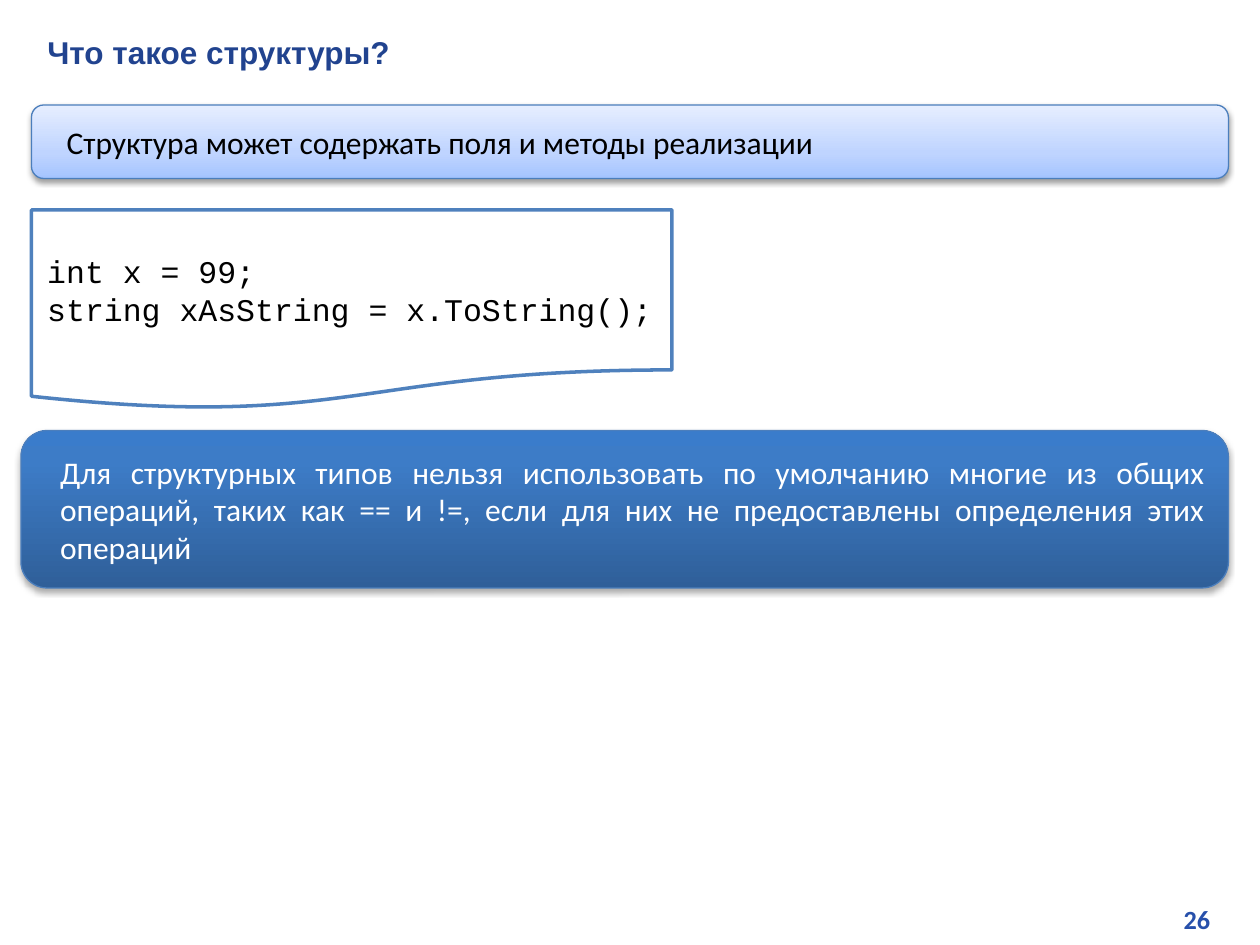
from copy import deepcopy

from lxml import etree
from pptx import Presentation
from pptx.dml.color import RGBColor
from pptx.enum.shapes import MSO_SHAPE
from pptx.enum.text import MSO_ANCHOR, MSO_AUTO_SIZE, PP_ALIGN
from pptx.oxml.ns import qn
from pptx.util import Emu, Pt

ROUNDED = MSO_SHAPE.ROUNDED_RECTANGLE
DOCUMENT = MSO_SHAPE.FLOWCHART_DOCUMENT
TOP, MIDDLE = MSO_ANCHOR.TOP, MSO_ANCHOR.MIDDLE
LEFT, RIGHT, JUSTIFY = PP_ALIGN.LEFT, PP_ALIGN.RIGHT, PP_ALIGN.JUSTIFY
NO_AUTOFIT = MSO_AUTO_SIZE.NONE
TITLE_ONLY = 5


def px(length):
    """Turn pixels (96 to the inch) into EMU."""
    return Emu(length * 9525)


def colour(code):
    """Turn a hex string into a colour."""
    return RGBColor.from_string(code)


def write(shape, lines, font, size, code, bold=False, align=LEFT, anchor=TOP, indent=0):
    """Fill a shape with evenly formatted paragraphs."""
    frame = shape.text_frame
    frame.word_wrap = True
    frame.auto_size = NO_AUTOFIT
    frame.vertical_anchor = anchor
    frame.margin_left = frame.margin_right = px(12)
    frame.margin_top = frame.margin_bottom = px(6)
    frame.text = "\n".join(lines)
    for para in frame.paragraphs:
        para.alignment = align
        if indent:
            properties = para._p.get_or_add_pPr()
            properties.set("marL", str(px(indent)))
            properties.set("indent", "0")
        para.font.name = font
        para.font.size = Pt(size)
        para.font.bold = bold
        para.font.color.rgb = colour(code)


def add_title(page, text):
    """Place the slide title."""
    title = page.shapes.title
    title.left, title.top, title.width, title.height = map(px, (24, 19, 916, 38))
    write(title, [text], "Arial", 18, "21438F", bold=True)


def add_number(page, text):
    """Place the page number at the bottom right."""
    box = page.shapes.add_textbox(*map(px, (730, 682, 204, 36)))
    write(box, [text], "Calibri", 15, "2750AB", bold=True, align=RIGHT)


def add_outlined(page, kind, area, line, width):
    """Add a preset shape with a plain outline."""
    shape = page.shapes.add_shape(kind, *map(px, area))
    shape.shadow.inherit = False
    shape.line.color.rgb = colour(line)
    shape.line.width = Pt(width)
    return shape


def set_gradient(shape, stops):
    """Fill a shape with a gradient running from bottom to top."""
    shape.fill.gradient()
    shape.fill.gradient_angle = 90
    stop_list = shape._element.spPr.find(".//" + qn("a:gsLst"))
    stop_list.append(deepcopy(stop_list[-1]))
    for stop, (position, code) in zip(shape.fill.gradient_stops, stops):
        stop.position = position
        stop.color.rgb = colour(code)


def set_shadow(shape, distance, opacity):
    """Drop a soft black shadow below a shape."""
    effects = shape._element.spPr.find(qn("a:effectLst"))
    shadow = etree.SubElement(effects, qn("a:outerShdw"), blurRad="40000",
                              dist=str(Pt(distance)), dir="5400000", rotWithShape="0")
    black = etree.SubElement(shadow, qn("a:srgbClr"), val="000000")
    etree.SubElement(black, qn("a:alpha"), val=str(opacity * 1000))


def add_banner(page, area, stops, distance, opacity, text, code):
    """Add a rounded banner with a gradient, a shadow and a statement."""
    banner = add_outlined(page, ROUNDED, area, "4B7EBC", 0.75)
    set_gradient(banner, stops)
    set_shadow(banner, distance, opacity)
    write(banner, [text], "Calibri", 18, code, align=JUSTIFY, anchor=MIDDLE, indent=12)


def add_code(page, area, lines):
    """Add a document shape that holds code."""
    sheet = add_outlined(page, DOCUMENT, area, "4F81BD", 2)
    sheet.fill.solid()
    sheet.fill.fore_color.rgb = colour("FFFFFF")
    write(sheet, lines, "Courier New", 18, "000000", anchor=MIDDLE)


def main():
    """Build the slide and save it."""
    deck = Presentation()
    deck.slide_width, deck.slide_height = px(960), px(720)
    page = deck.slides.add_slide(deck.slide_layouts[TITLE_ONLY])
    add_number(page, "26")
    add_title(page, "Что такое структуры?")
    add_banner(
        page, (16, 328, 920, 120),
        [(0, "2F5F99"), (0.8, "3D7CC7"), (1, "3A7CCB")], 1.8, 35,
        "Для структурных типов нельзя использовать по умолчанию многие из общих "
        "операций, таких как == и !=, если для них не предоставлены определения "
        "этих операций", "FFFFFF")
    add_banner(
        page, (24, 80, 912, 56),
        [(0, "A4C4FF"), (0.35, "BFD4FF"), (1, "E6EEFF")], 1.6, 38,
        "Cтруктура может содержать поля и методы реализации", "000000")
    add_code(page, (24, 160, 488, 152),
             ["int x = 99;", "string xAsString = x.ToString();"])
    deck.save("out.pptx")


if __name__ == "__main__":
    main()
